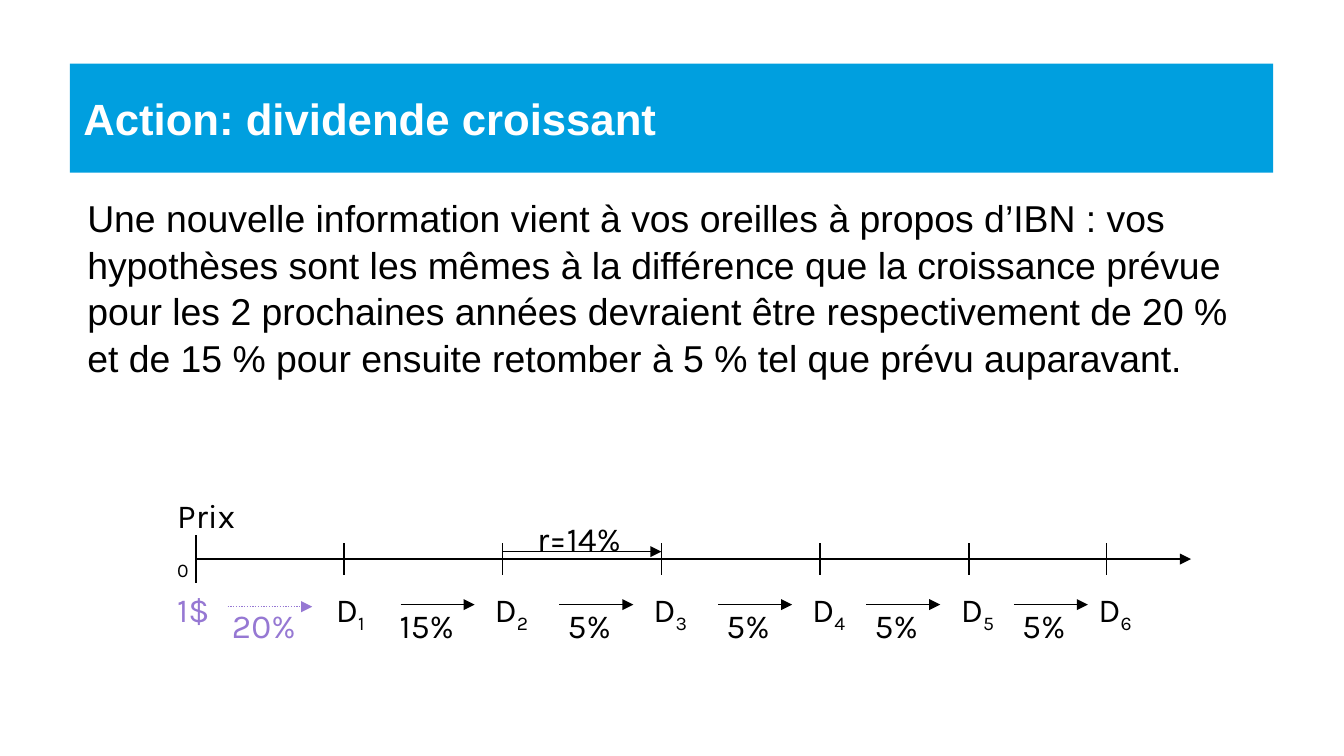
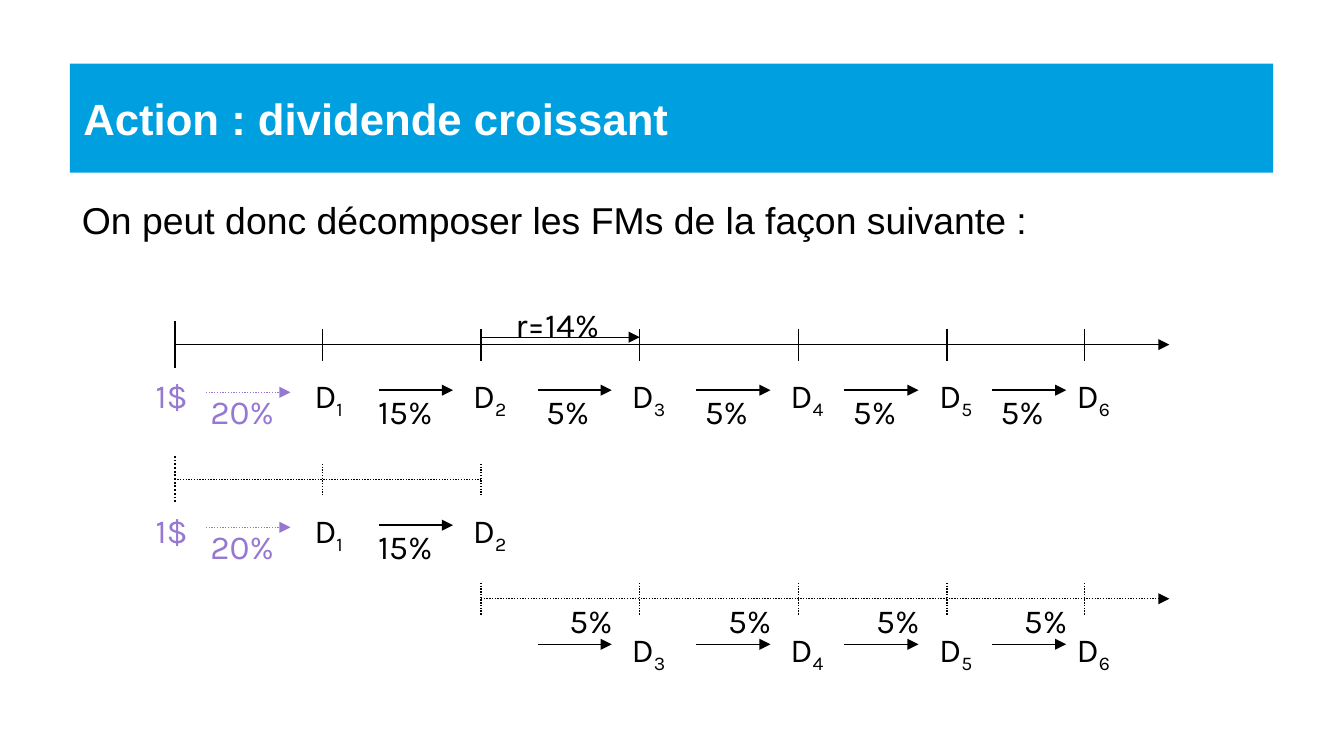
from pptx import Presentation
from pptx.dml.color import RGBColor
from pptx.enum.dml import MSO_LINE
from pptx.enum.shapes import MSO_CONNECTOR
from pptx.enum.text import MSO_ANCHOR, MSO_AUTO_SIZE, PP_ALIGN
from pptx.oxml.ns import qn
from pptx.util import Cm, Pt
from lxml import etree

BLUE = RGBColor(0x00, 0x9F, 0xDF)
WHITE = RGBColor(0xFF, 0xFF, 0xFF)
BLACK = RGBColor(0x00, 0x00, 0x00)
VIOLET = RGBColor(0x96, 0x78, 0xD3)
DOTS = MSO_LINE.ROUND_DOT
STRAIGHT = MSO_CONNECTOR.STRAIGHT
LEFT = PP_ALIGN.LEFT
TOP, MIDDLE = MSO_ANCHOR.TOP, MSO_ANCHOR.MIDDLE
FIT, FIXED = MSO_AUTO_SIZE.SHAPE_TO_FIT_TEXT, MSO_AUTO_SIZE.NONE

# Distances in cm from the start of a timeline
TICKS = [0, 2.79, 5.79, 8.79, 11.79, 14.6, 17.2]
STARTS = [0.59, 3.86, 6.86, 9.86, 12.66, 15.45]
RATES = ["20%", "15%", "5%", "5%", "5%", "5%"]
END = 18.8
STEP = 1.4


def style(para, face, size, color, bold=False):
    font = para.font
    font.name, font.size, font.bold = face, Pt(size), bold
    font.color.rgb = color


def add_slide(deck, title):
    slide = deck.slides.add_slide(deck.slide_layouts[5])
    band = slide.shapes.title
    band.left, band.top, band.width, band.height = Cm(1.32), Cm(1.2), Cm(22.74), Cm(2.06)
    band.fill.solid()
    band.fill.fore_color.rgb = BLUE
    frame = band.text_frame
    frame.text = title
    frame.auto_size, frame.vertical_anchor = FIXED, MIDDLE
    para = frame.paragraphs[0]
    para.alignment = LEFT
    style(para, "Arial", 23.4, WHITE, True)
    return slide


def add_body(slide, x, y, wide, high, text):
    frame = slide.shapes.add_textbox(Cm(x), Cm(y), Cm(wide), Cm(high)).text_frame
    frame.word_wrap, frame.vertical_anchor = True, TOP
    frame.text = text
    para = frame.paragraphs[0]
    para.line_spacing = 1.04
    style(para, "Arial", 20, BLACK)


def add_label(slide, x, y, wide, text, sub="", color=BLACK, split=False):
    frame = slide.shapes.add_textbox(Cm(x), Cm(y), Cm(wide), Cm(1.02)).text_frame
    frame.word_wrap, frame.auto_size = False, FIT
    para = frame.paragraphs[0]
    style(para, "Karla", 18, color)
    para.add_run().text = text
    if split:
        para.add_line_break()
    if sub:
        run = para.add_run()
        run.text = sub
        run._r.get_or_add_rPr().set("baseline", "-25000")


def add_line(slide, x1, y1, x2, y2, color=BLACK, width=0.75, dash=None, arrow=False):
    link = slide.shapes.add_connector(STRAIGHT, Cm(x1), Cm(y1), Cm(x2), Cm(y2))
    line = link.line
    line.color.rgb, line.width = color, Pt(width)
    if dash:
        line.dash_style = dash
    if arrow:
        etree.SubElement(line._get_or_add_ln(), qn("a:tailEnd"), type="triangle")
    etree.SubElement(link._element.spPr, qn("a:effectLst"))


def add_axis(slide, x, y, first, last, dash=None):
    """Axis with its ticks; it runs on as an arrow after the last year."""
    on = last == len(TICKS) - 1
    add_line(slide, x + TICKS[first], y, x + (END if on else TICKS[last]), y,
             dash=dash, arrow=on)
    for i in range(first, last + 1):
        half, width = (0.3, 0.75) if i else (0.45, 1)
        add_line(slide, x + TICKS[i], y - half, x + TICKS[i], y + half,
                 width=width, dash=dash)


def add_flows(slide, x, y, first, last, above=False):
    """Dividends under the ticks, growth arrows and rates between them."""
    if first == 0:
        add_label(slide, x - 0.61, y + 0.44, 1.22, "1$", color=VIOLET)
    for i in range(first, last):
        add_label(slide, x + TICKS[i + 1] - 0.4, y + 0.44, 1.17, "D", str(i + 1))
        start = x + STARTS[i]
        color, dash, size, drop = (BLACK, None, STEP, 0.86) if i else (VIOLET, DOTS, 1.6, 0.9)
        add_line(slide, start, y + drop, start + size, y + drop, color, dash=dash, arrow=True)
        wide = 1.5 if RATES[i] == "5%" else 1.85
        left = start + 0.35 if above else start + (size - wide) / 2 - 0.04
        add_label(slide, left, y + (-0.1 if above else 0.74), wide, RATES[i], color=color)


def add_return(slide, x, y):
    add_line(slide, x + TICKS[2], y - 0.14, x + TICKS[3], y - 0.14, arrow=True)
    add_label(slide, x + TICKS[2] + 0.4, y - 0.9, 2.54, "r=14%")


def add_span(slide, x, y, first, last, dash=None, above=False):
    add_axis(slide, x, y, first, last, dash)
    add_flows(slide, x, y, first, last, above)


def main():
    deck = Presentation()
    deck.slide_width, deck.slide_height = Cm(25.4), Cm(14.28)

    # Slide 1: new growth assumptions
    slide = add_slide(deck, "Action: dividende croissant")
    add_body(slide, 1.4, 3.53, 22.74, 7.98,
             "Une nouvelle information vient à vos oreilles à propos d’IBN : vos "
             "hypothèses sont les mêmes à la différence que la croissance prévue "
             "pour les 2 prochaines années devraient être respectivement de 20 % "
             "et de 15 % pour ensuite retomber à 5 % tel que prévu auparavant.")
    x, y = 3.71, 10.56
    add_span(slide, x, y, 0, 6)
    add_return(slide, x, y)
    add_label(slide, x - 0.61, y - 1.34, 1.8, "Prix", "0", split=True)

    # Slide 2: the flows split in two
    slide = add_slide(deck, "Action : dividende croissant")
    add_body(slide, 1.3, 3.56, 22.86, 9.17,
             "On peut donc décomposer les FMs de la façon suivante :")
    x, y = 3.3, 6.51
    add_span(slide, x, y, 0, 6)
    add_return(slide, x, y)
    add_span(slide, x, 9.06, 0, 2, DOTS)
    add_span(slide, x, 11.31, 2, 6, DOTS, above=True)

    deck.save("out.pptx")


if __name__ == "__main__":
    main()
